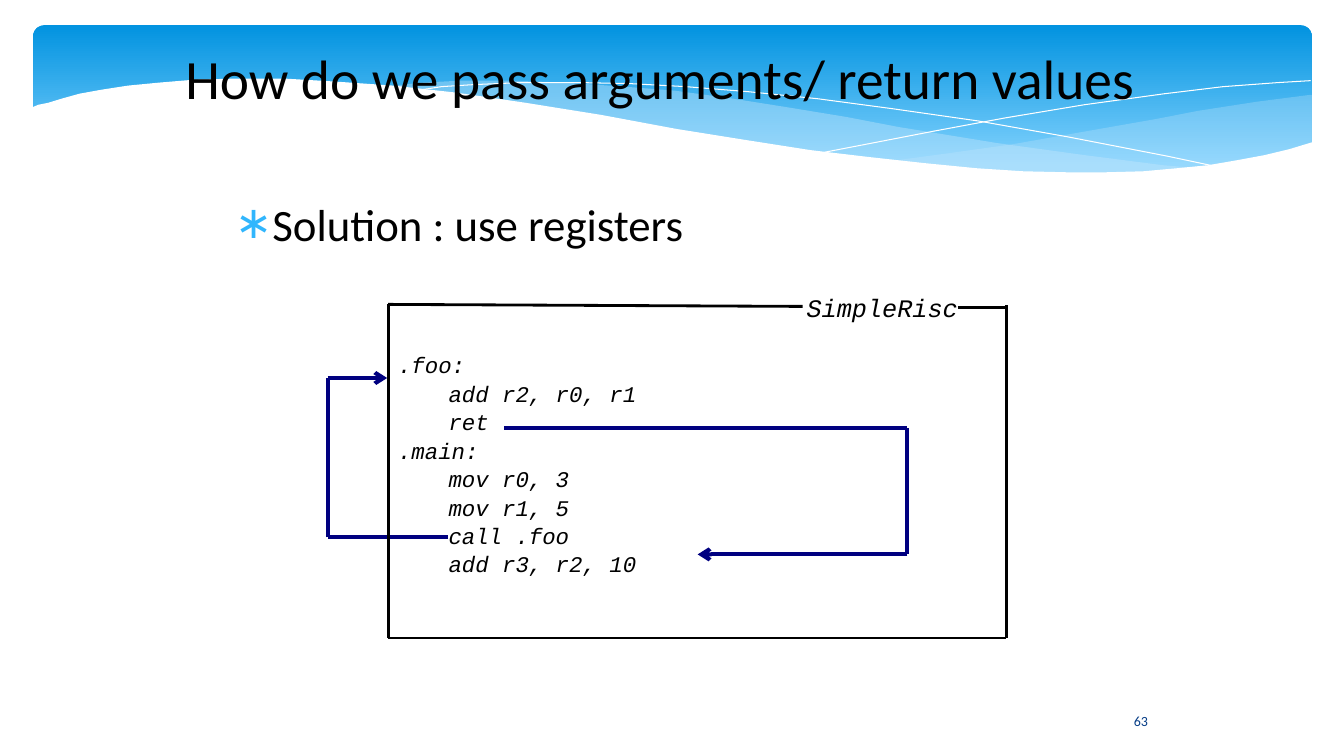
from dataclasses import dataclass
from itertools import pairwise

from lxml.etree import SubElement
from pptx import Presentation
from pptx.dml.color import RGBColor
from pptx.enum.shapes import MSO_CONNECTOR, MSO_SHAPE
from pptx.enum.text import MSO_ANCHOR, PP_ALIGN
from pptx.oxml.ns import qn
from pptx.util import Pt

PX = 9144


@dataclass(frozen=True)
class Theme:
    """Colours, fonts and type sizes of the slide."""
    black: str = "000000"
    white: str = "FFFFFF"
    sky_top: str = "0293E0"
    sky_bottom: str = "83D3FE"
    wave: str = "C6E7FC"
    bullet: str = "31B6FD"
    number: str = "073E87"
    arrow: str = "000080"
    sans: str = "Calibri"
    mono: str = "Courier New"
    title_size: float = 39.6
    body_size: int = 32
    label_size: int = 18
    code_size: int = 16
    number_size: int = 10
    arrow_width: float = 2.83


THEME = Theme()

RIGHT_WAVE = [(1300, 94), (1246, 101), (1188, 110), (1147, 118), (1073, 131),
              (1005, 143), (941, 152), (882, 160), (940, 165), (993, 169),
              (1041, 172), (1099, 172), (1151, 170), (1196, 165), (1238, 158),
              (1266, 152), (1301, 142), (1301, 94)]
MIDDLE_WAVE = [(1190, 167), (1154, 164), (1076, 154), (989, 142), (891, 126),
               (839, 116), (778, 106), (721, 97), (669, 90), (619, 86),
               (560, 82), (506, 80), (459, 80), (418, 82), (382, 86),
               (431, 90), (483, 97), (539, 106), (599, 116), (706, 135),
               (779, 146), (846, 156), (907, 163), (963, 168), (1014, 171),
               (1061, 173), (1104, 173), (1143, 171), (1179, 168)]
FALLING_LINE = [(412, 90), (438, 86), (470, 84), (516, 82), (577, 82),
                (625, 83), (680, 86), (742, 91), (811, 98), (886, 108),
                (970, 120), (1060, 136), (1158, 155), (1210, 166)]
RISING_LINE = [(818, 151), (870, 141), (927, 130), (997, 117), (1075, 104),
               (1155, 93), (1213, 86), (1267, 82), (1300, 80)]
WHITE_HILL = [(1302, 141), (1279, 148), (1254, 154), (1227, 159), (1198, 164),
              (1167, 167), (1134, 170), (1097, 171), (1058, 171), (1015, 170),
              (969, 167), (918, 162), (863, 156), (804, 149), (740, 139),
              (671, 128), (596, 114), (521, 102), (453, 92), (390, 85),
              (333, 81), (282, 78), (235, 78), (194, 79), (158, 82),
              (127, 85), (101, 89), (79, 93), (61, 98), (48, 102),
              (38, 104), (31, 107), (31, 224), (1303, 224), (1303, 140)]
CALL_ROUTE = [(444, 533), (325, 533), (325, 375), (384, 375)]
RETURN_ROUTE = [(500, 425), (900, 425), (900, 550), (692, 550)]
FRAME = [((385, 302), (796, 304)), ((385, 302), (385, 633)),
         ((998, 303), (998, 633)), ((385, 633), (998, 633)),
         ((950, 305), (998, 305))]
CODE = [".foo:", "\tadd r2, r0, r1", "\tret", ".main:", "\tmov r0, 3",
        "\tmov r1, 5", "\tcall .foo", "\tadd r3, r2, 10"]


def colour(value):
    """Turn a hex string into a colour."""
    return RGBColor.from_string(value)


def add_sky(page):
    """Draw the rounded gradient band behind the title."""
    sky = page.shapes.add_shape(MSO_SHAPE.ROUNDED_RECTANGLE,
                                33 * PX, 25 * PX, 1268 * PX, 156 * PX)
    sky.adjustments[0] = 0.07
    sky.shadow.inherit = False
    sky.line.fill.background()
    sky.fill.gradient()
    sky.fill.gradient_angle = 270
    stops = [(0, THEME.sky_top), (0.9, THEME.sky_bottom)]
    for stop, (position, shade) in zip(sky.fill.gradient_stops, stops):
        stop.position = position
        stop.color.rgb = colour(shade)


def add_curve(page, points, fill=None, opacity=100):
    """Draw a filled outline, or a thin white open curve without a fill."""
    builder = page.shapes.build_freeform(*points[0], scale=PX)
    builder.add_line_segments(points[1:], close=fill is not None)
    curve = builder.convert_to_shape()
    curve.shadow.inherit = False
    if fill is None:
        curve.fill.background()
        curve.line.color.rgb = colour(THEME.white)
        curve.line.width = Pt(0)
        return
    curve.line.fill.background()
    curve.fill.solid()
    curve.fill.fore_color.rgb = colour(fill)
    if opacity < 100:
        shade = next(curve.element.spPr.iter(qn("a:srgbClr")))
        SubElement(shade, qn("a:alpha"), val=str(opacity * 1000))


def add_line(page, start, end, shade, width, arrow=False):
    """Draw a straight line, with an arrowhead at its end if asked."""
    ends = [length * PX for length in (*start, *end)]
    line = page.shapes.add_connector(MSO_CONNECTOR.STRAIGHT, *ends)
    line.line.color.rgb = colour(shade)
    line.line.width = Pt(width)
    if arrow:
        SubElement(line.line._get_or_add_ln(), qn("a:tailEnd"), type="arrow")
    SubElement(line.element.spPr, qn("a:effectLst"))


def add_route(page, points):
    """Draw an angled route whose last leg carries an arrowhead."""
    for start, end in pairwise(points):
        add_line(page, start, end, THEME.arrow, THEME.arrow_width,
                 arrow=end == points[-1])


def add_text(page, area, lines, span_format, shade=THEME.black,
             para_format=None, anchor=MSO_ANCHOR.TOP, inset=True):
    """Add a text box with one paragraph per line and return its paragraphs."""
    box = page.shapes.add_textbox(*[length * PX for length in area])
    frame = box.text_frame
    frame.word_wrap = True
    frame.vertical_anchor = anchor
    if not inset:
        for side in ("left", "top", "right", "bottom"):
            setattr(frame, f"margin_{side}", 0)
    for number, line in enumerate(lines):
        para = frame.add_paragraph() if number else frame.paragraphs[0]
        for name, value in (para_format or {}).items():
            setattr(para, name, value)
        span = para.add_run()
        span.text = line
        span.font.color.rgb = colour(shade)
        for name, value in span_format.items():
            setattr(span.font, name, value)
    return frame.paragraphs


def add_bullet(para):
    """Give a paragraph a hanging blue asterisk."""
    properties = para._p.get_or_add_pPr()
    properties.set("marL", str(47 * PX))
    properties.set("indent", str(-35 * PX))
    tint = SubElement(properties, qn("a:buClr"))
    SubElement(tint, qn("a:srgbClr"), val=THEME.bullet)
    SubElement(properties, qn("a:buFont"), typeface=THEME.sans)
    SubElement(properties, qn("a:buChar"), char="∗")


def add_tab_stop(para):
    """Set the tab stop that indents instructions."""
    tabs = SubElement(para._p.get_or_add_pPr(), qn("a:tabLst"))
    SubElement(tabs, qn("a:tab"), pos=str(50 * PX), algn="l")


def main():
    """Build the slide and save it."""
    deck = Presentation()
    deck.slide_width, deck.slide_height = 1333 * PX, 750 * PX
    page = deck.slides.add_slide(deck.slide_layouts[6])

    add_sky(page)
    add_curve(page, RIGHT_WAVE, THEME.wave, 29)
    add_curve(page, MIDDLE_WAVE, THEME.wave, 40)
    add_curve(page, FALLING_LINE)
    add_curve(page, RISING_LINE)
    add_curve(page, WHITE_HILL, THEME.white)

    centred = {"alignment": PP_ALIGN.CENTER}
    add_text(page, (1101, 695, 61, 40), ["63"],
             {"name": THEME.sans, "size": Pt(THEME.number_size)},
             THEME.number, centred, MSO_ANCHOR.MIDDLE)
    add_text(page, (167, 19, 975, 115),
             ["How do we pass arguments/ return values"],
             {"name": THEME.sans, "size": Pt(THEME.title_size)},
             para_format=centred, anchor=MSO_ANCHOR.MIDDLE, inset=False)
    solution = add_text(page, (211, 190, 811, 495),
                        ["Solution : use registers"],
                        {"name": THEME.sans, "size": Pt(THEME.body_size)},
                        para_format={"space_after": Pt(14.1)})
    add_bullet(solution[0])

    add_route(page, CALL_ROUTE)
    add_route(page, RETURN_ROUTE)
    code_font = {"name": THEME.mono, "italic": True}
    add_text(page, (800, 290, 172, 47), ["SimpleRisc"],
             code_font | {"size": Pt(THEME.label_size)}, inset=False)
    for start, end in FRAME:
        add_line(page, start, end, THEME.black, 0)
    listing = add_text(page, (385, 347, 461, 226), CODE,
                       code_font | {"size": Pt(THEME.code_size)},
                       para_format={"alignment": PP_ALIGN.JUSTIFY,
                                    "line_spacing": 1.06},
                       anchor=MSO_ANCHOR.MIDDLE)
    for para in listing:
        add_tab_stop(para)

    deck.save("out.pptx")


if __name__ == "__main__":
    main()
